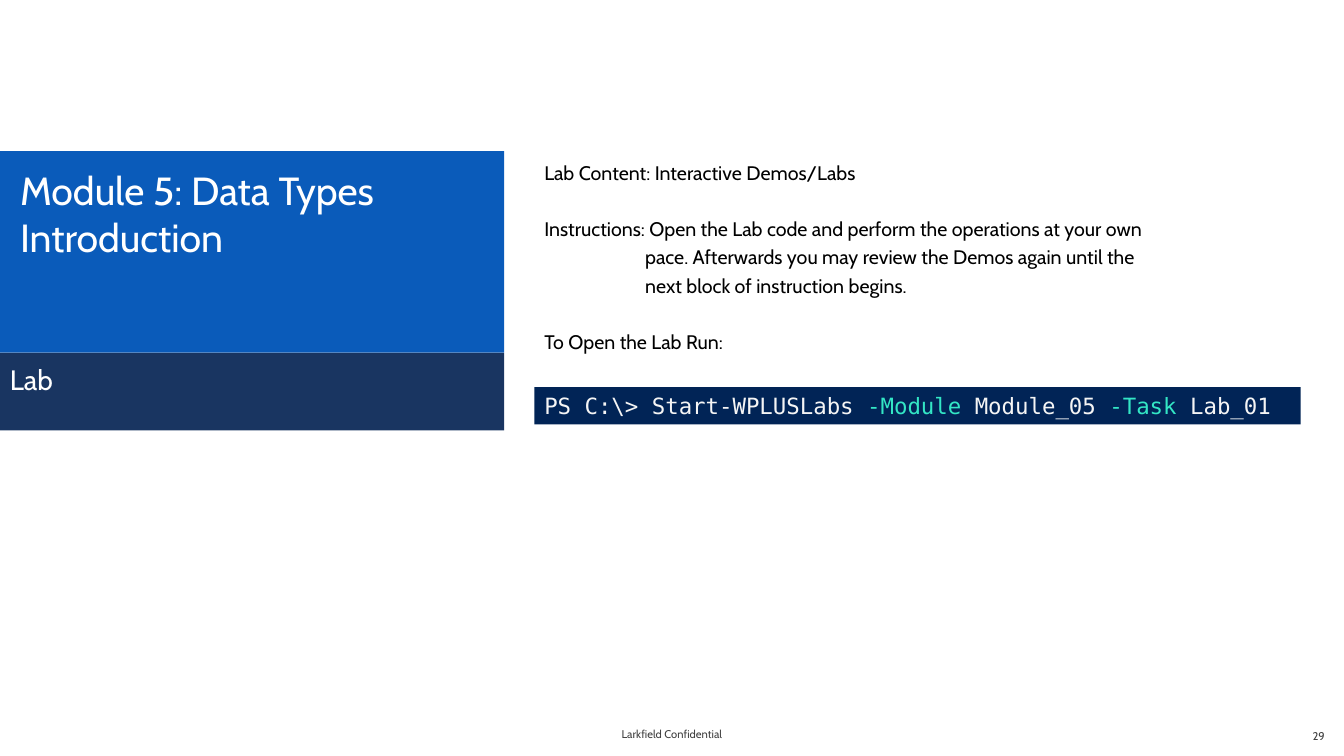
"""Builds the lab slide for Module 5: Data Types Introduction."""
from dataclasses import dataclass

from lxml import etree
from pptx import Presentation
from pptx.dml.color import RGBColor
from pptx.enum.shapes import MSO_SHAPE as SHAPE
from pptx.enum.text import MSO_ANCHOR as ANCHOR, PP_ALIGN as ALIGN
from pptx.oxml.ns import qn
from pptx.util import Emu, Pt

PX = 9144


@dataclass(frozen=True)
class Theme:
    """Colours, fonts and type sizes of the slide."""
    white: str = "FFFFFF"
    black: str = "000000"
    grey: str = "3F3F3F"
    blue: str = "0A5BBA"
    navy: str = "002050"
    console: str = "012456"
    code: str = "F5F5F5"
    parameter: str = "33E6C5"
    sans: str = "Cabin"
    mono: str = "DejaVu Sans Mono"
    title: int = 28
    subtitle: int = 20
    command: int = 16
    body: int = 14
    footer: int = 8


@dataclass(frozen=True)
class Box:
    """A text area in px, with insets as left, top, right, bottom."""
    x: int
    y: int
    w: int
    h: int
    insets: tuple[int, int, int, int] = (10, 5, 10, 5)
    fill: str | None = None
    alpha: int = 100
    anchor: ANCHOR = ANCHOR.TOP


T = Theme()
TITLE = Box(0, 150, 500, 200, (20, 15, 10, 5), T.blue)
SUBTITLE = Box(0, 350, 500, 77, (10, 10, 10, 5), T.navy, 90)
BODY = Box(530, 150, 654, 542, (10, 5, 30, 5))
COMMAND = Box(530, 384, 760, 37, fill=T.console)
FOOTER = Box(511, 708, 311, 40, (20, 5, 20, 5), anchor=ANCHOR.MIDDLE)
NUMBER = Box(1023, 710, 311, 40, (20, 5, 20, 5), anchor=ANCHOR.MIDDLE)

INSTRUCTIONS = (
    "Instructions: Open the Lab code and perform the operations at your own pace. "
    "Afterwards you may review the Demos again until the next block of instruction begins."
)
COMMAND_RUNS = (
    ("PS C:\\> Start-WPLUSLabs ", T.code),
    ("-Module ", T.parameter),
    ("Module_05 ", T.code),
    ("-Task ", T.parameter),
    ("Lab_01", T.code),
)


def px(n: int) -> Emu:
    """Turn px into EMU."""
    return Emu(n * PX)


def add_box(slide, box: Box):
    """Draw a box and return its text frame."""
    place = [px(n) for n in (box.x, box.y, box.w, box.h)]
    if box.fill:
        sp = slide.shapes.add_shape(SHAPE.RECTANGLE, *place)
        sp.shadow.inherit = False
        sp.line.fill.background()
        sp.fill.solid()
        sp.fill.fore_color.rgb = RGBColor.from_string(box.fill)
        if box.alpha < 100:
            colour = sp.fill._xPr.find(".//" + qn("a:srgbClr"))
            etree.SubElement(colour, qn("a:alpha"), val=str(box.alpha * 1000))
    else:
        sp = slide.shapes.add_textbox(*place)
    tf = sp.text_frame
    tf.word_wrap = True
    tf.vertical_anchor = box.anchor
    tf.margin_left, tf.margin_top, tf.margin_right, tf.margin_bottom = map(px, box.insets)
    return tf


def add_run(p, text: str, *, size: int, color: str, font: str = T.sans) -> None:
    """Add formatted text to a paragraph."""
    r = p.add_run()
    r.text = text
    r.font.size = Pt(size)
    r.font.name = font
    r.font.color.rgb = RGBColor.from_string(color)


def add_line(slide, box: Box, text: str, *, size: int, color: str,
             align: ALIGN = ALIGN.LEFT) -> None:
    """Draw a box that holds one paragraph."""
    p = add_box(slide, box).paragraphs[0]
    p.alignment = align
    add_run(p, text, size=size, color=color)


def add_body(slide) -> None:
    """Draw the lab description with hanging instructions."""
    tf = add_box(slide, BODY)
    lines = (("Lab Content: Interactive Demos/Labs", 0), (INSTRUCTIONS, 100),
             ("To Open the Lab Run:", 0))
    for i, (text, hang) in enumerate(lines):
        p = tf.add_paragraph() if i else tf.paragraphs[0]
        p.line_spacing = 1.2
        if i:
            p.space_before = Pt(20)
        if hang:
            pPr = p._p.get_or_add_pPr()
            pPr.set("marL", str(px(hang)))
            pPr.set("indent", str(-px(hang)))
        add_run(p, text, size=T.body, color=T.black)


def add_command(slide) -> None:
    """Draw the console line."""
    p = add_box(slide, COMMAND).paragraphs[0]
    p.alignment = ALIGN.LEFT
    for text, color in COMMAND_RUNS:
        add_run(p, text, size=T.command, color=color, font=T.mono)


def main() -> None:
    """Build and save the slide."""
    prs = Presentation()
    prs.slide_width, prs.slide_height = px(1333), px(750)
    slide = prs.slides.add_slide(prs.slide_layouts[6])
    add_line(slide, FOOTER, "Larkfield Confidential", size=T.footer, color=T.grey,
             align=ALIGN.CENTER)
    add_line(slide, TITLE, "Module 5: Data Types Introduction", size=T.title, color=T.white)
    add_line(slide, SUBTITLE, "Lab", size=T.subtitle, color=T.white)
    add_line(slide, NUMBER, "29", size=T.footer, color=T.grey, align=ALIGN.RIGHT)
    add_body(slide)
    add_command(slide)
    prs.save("out.pptx")


if __name__ == "__main__":
    main()
